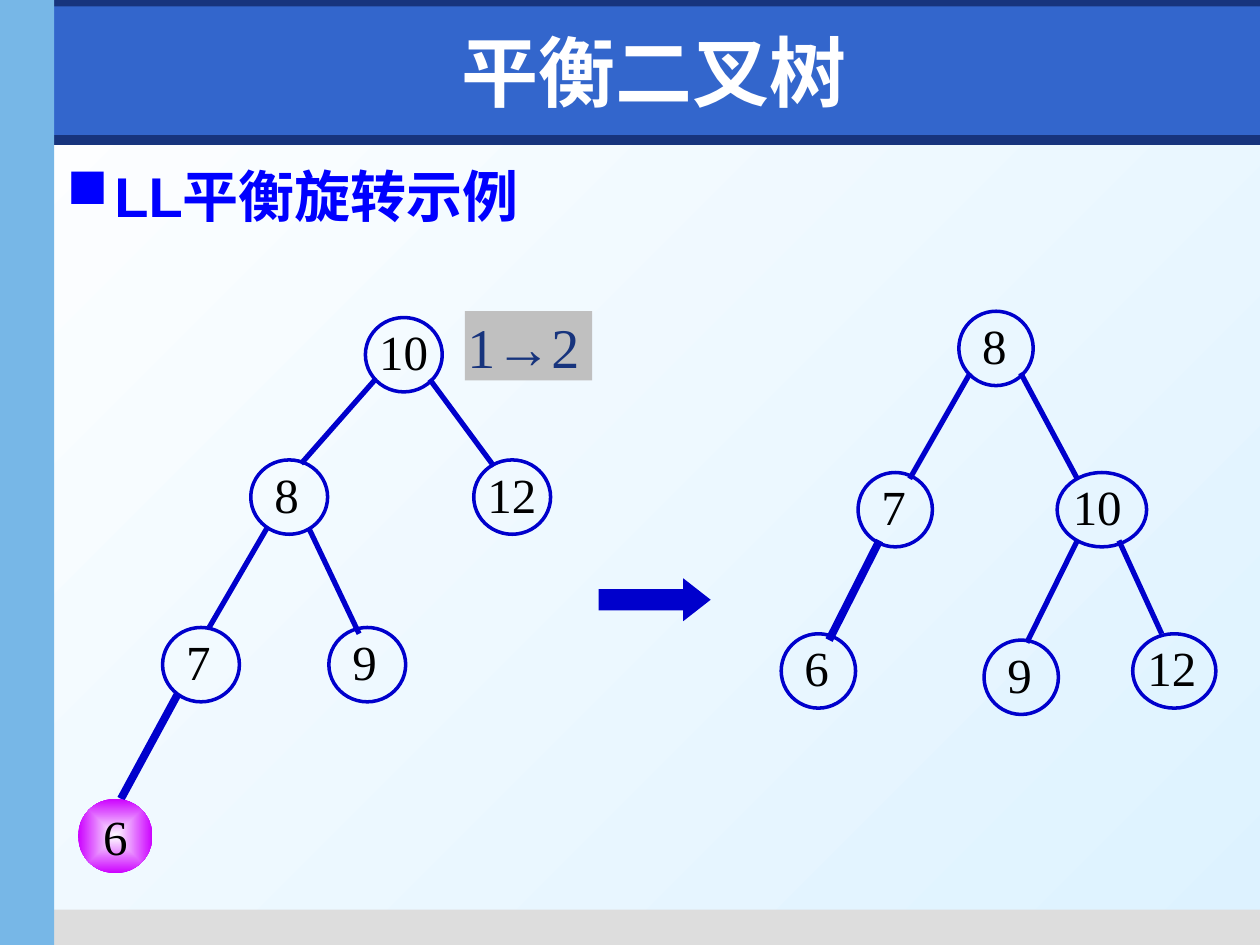
from dataclasses import dataclass

from lxml import etree
from pptx import Presentation
from pptx.dml.color import RGBColor
from pptx.enum import shapes, text
from pptx.oxml import ns, parse_xml
from pptx.util import Inches, Pt

WHITE = RGBColor(0xFF, 0xFF, 0xFF)
BLACK = RGBColor(0, 0, 0)
PALE_BLUE = RGBColor(0xDD, 0xF2, 0xFF)
NAVY = RGBColor(0x17, 0x34, 0x7D)
HEADER_BLUE = RGBColor(0x33, 0x66, 0xCC)
SKY = RGBColor(0x77, 0xB7, 0xE7)
FOOTER_GRAY = RGBColor(0xDD, 0xDD, 0xDD)
LABEL_GRAY = RGBColor(0xC0, 0xC0, 0xC0)
HEADING_BLUE = RGBColor(0, 0, 0xFF)
TREE_BLUE = RGBColor(0, 0, 0xCC)
MAGENTA = RGBColor(0xCC, 0, 0xFF)

SERIF = "Times New Roman"
NODE_HEIGHT = 0.59
ALIGN = text.PP_ALIGN
ANCHOR = text.MSO_ANCHOR
SHAPE = shapes.MSO_SHAPE


@dataclass
class Band:
    left: float
    top: float
    width: float
    height: float
    color: RGBColor


@dataclass
class Node:
    key: str
    left: float
    top: float
    width: float = NODE_HEIGHT
    inserted: bool = False


@dataclass
class Edge:
    x1: float
    y1: float
    x2: float
    y2: float
    weight: float = 3


BANDS = [
    Band(0.04, 1.07, 9.96, 0.08, NAVY),
    Band(0.35, 7.22, 9.65, 0.28, FOOTER_GRAY),
    Band(0, 0, 10, 0.21, NAVY),
    Band(0.43, 0.05, 9.57, 1.02, HEADER_BLUE),
    Band(0, 0, 0.43, 7.5, SKY),
]

# Tree after inserting 6, before the rotation
UNBALANCED_EDGES = [
    Edge(2.98, 3.01, 2.39, 3.68), Edge(3.41, 3.01, 3.92, 3.7),
    Edge(2.12, 4.19, 1.66, 4.98), Edge(2.45, 4.19, 2.85, 5.03),
    Edge(1.41, 5.51, 0.96, 6.34, 4.5),
]
UNBALANCED_NODES = [
    Node("10", 2.9, 2.52, 0.61),
    Node("8", 1.99, 3.65, 0.61), Node("12", 3.76, 3.65, 0.61),
    Node("7", 1.29, 4.98, 0.61), Node("9", 2.61, 4.98, 0.61),
    Node("6", 0.62, 6.34, inserted=True),
]

# Tree after the rotation
BALANCED_EDGES = [
    Edge(7.7, 2.96, 7.22, 3.8), Edge(8.1, 2.96, 8.55, 3.8),
    Edge(6.98, 4.29, 6.58, 5.08, 4.5),
    Edge(8.55, 4.29, 8.15, 5.1), Edge(8.88, 4.29, 9.22, 5.03),
]
BALANCED_NODES = [
    Node("8", 7.61, 2.47),
    Node("7", 6.81, 3.75), Node("10", 8.39, 3.75, 0.71),
    Node("6", 6.2, 5.03), Node("9", 7.81, 5.08), Node("12", 8.99, 5.03, 0.66),
]


def add_plain_shape(slide, kind, left, top, width, height, color=None):
    shape = slide.shapes.add_shape(
        kind, Inches(left), Inches(top), Inches(width), Inches(height))
    shape.shadow.inherit = False
    shape.line.fill.background()
    if color is None:
        shape.fill.background()
    else:
        shape.fill.solid()
        shape.fill.fore_color.rgb = color
    return shape


def write(shape, words: str, size: float, font: str, color: RGBColor,
          align=ALIGN.LEFT, anchor=ANCHOR.TOP, bold: bool = False):
    frame = shape.text_frame
    frame.word_wrap = True
    frame.vertical_anchor = anchor
    paragraph = frame.paragraphs[0]
    paragraph.text = words
    paragraph.alignment = align
    paragraph.font.size = Pt(size)
    paragraph.font.name = font
    paragraph.font.bold = bold
    paragraph.font.color.rgb = color
    return paragraph


def set_insets(shape, left: float, top: float = 0) -> None:
    frame = shape.text_frame
    frame.margin_left, frame.margin_top = Inches(left), Inches(top)
    frame.margin_right = frame.margin_bottom = 0


def set_gradient(fill, start: RGBColor, end: RGBColor) -> None:
    fill.gradient()
    for stop, color in zip(fill.gradient_stops, (start, end)):
        stop.color.rgb = color


def draw_edge(slide, edge: Edge) -> None:
    branch = slide.shapes.add_connector(
        shapes.MSO_CONNECTOR.STRAIGHT, Inches(edge.x1), Inches(edge.y1),
        Inches(edge.x2), Inches(edge.y2))
    branch.line.color.rgb = TREE_BLUE
    branch.line.width = Pt(edge.weight)
    etree.SubElement(branch._element.spPr, ns.qn("a:effectLst"))


def draw_node(slide, node: Node) -> None:
    circle = add_plain_shape(slide, SHAPE.OVAL, node.left, node.top,
                             node.width, NODE_HEIGHT)
    if node.inserted:
        write(circle, node.key, 28, SERIF, BLACK, ALIGN.CENTER, ANCHOR.MIDDLE)
        circle.text_frame.word_wrap = False
        set_gradient(circle.fill, WHITE, MAGENTA)
        # Radiate from the centre instead of running straight
        linear = circle._element.spPr.find(".//" + ns.qn("a:lin"))
        linear.getparent().replace(linear, parse_xml(
            f'<a:path {ns.nsdecls("a")} path="shape"><a:fillToRect '
            'l="50000" t="50000" r="50000" b="50000"/></a:path>'))
        return
    circle.line.color.rgb = TREE_BLUE
    circle.line.width = Pt(2)
    key = write(circle, node.key, 28, SERIF, BLACK, ALIGN.JUSTIFY)
    key.line_spacing = 0.9
    set_insets(circle, 0.1 if len(node.key) == 1 else 0.02)


def draw_tree(slide, edges: list[Edge], nodes: list[Node]) -> None:
    for edge in edges:
        draw_edge(slide, edge)
    for node in nodes:
        draw_node(slide, node)


def main() -> None:
    deck = Presentation()
    deck.slide_width, deck.slide_height = Inches(10), Inches(7.5)
    slide = deck.slides.add_slide(deck.slide_layouts[6])

    # Background and frame
    backdrop = slide.background.fill
    set_gradient(backdrop, WHITE, PALE_BLUE)
    backdrop.gradient_angle = 315
    for band in BANDS:
        add_plain_shape(slide, SHAPE.RECTANGLE, band.left, band.top,
                        band.width, band.height, band.color)

    # Title and heading
    title = slide.shapes.add_textbox(
        Inches(0.59), Inches(0.13), Inches(9.21), Inches(0.87))
    write(title, "平衡二叉树", 44, "DejaVu Sans", WHITE,
          ALIGN.CENTER, ANCHOR.MIDDLE, bold=True)
    heading = slide.shapes.add_textbox(
        Inches(0.43), Inches(1.23), Inches(9.37), Inches(5.9))
    topic = write(heading, "LL平衡旋转示例", 32, "Arial", HEADING_BLUE, bold=True)
    properties = topic._p.get_or_add_pPr()
    properties.set("marL", str(Inches(0.38)))
    properties.set("indent", str(Inches(-0.38)))
    bullet = parse_xml(f'<a:buChar {ns.nsdecls("a")} char="■"/>')
    properties.insert_element_before(bullet, "a:tabLst", "a:defRPr", "a:extLst")

    # Trees, balance factor change and rotation arrow
    draw_tree(slide, UNBALANCED_EDGES, UNBALANCED_NODES)
    factor = add_plain_shape(slide, SHAPE.RECTANGLE, 3.69, 2.47, 1.01, 0.55,
                             LABEL_GRAY)
    write(factor, "1→2", 32, SERIF, NAVY)
    set_insets(factor, 0.02, 0.01)
    rotation = add_plain_shape(slide, SHAPE.RIGHT_ARROW, 4.75, 4.59, 0.89, 0.34,
                               TREE_BLUE)
    rotation.adjustments[1] = 0.64
    draw_tree(slide, BALANCED_EDGES, BALANCED_NODES)

    deck.save("out.pptx")


if __name__ == "__main__":
    main()
